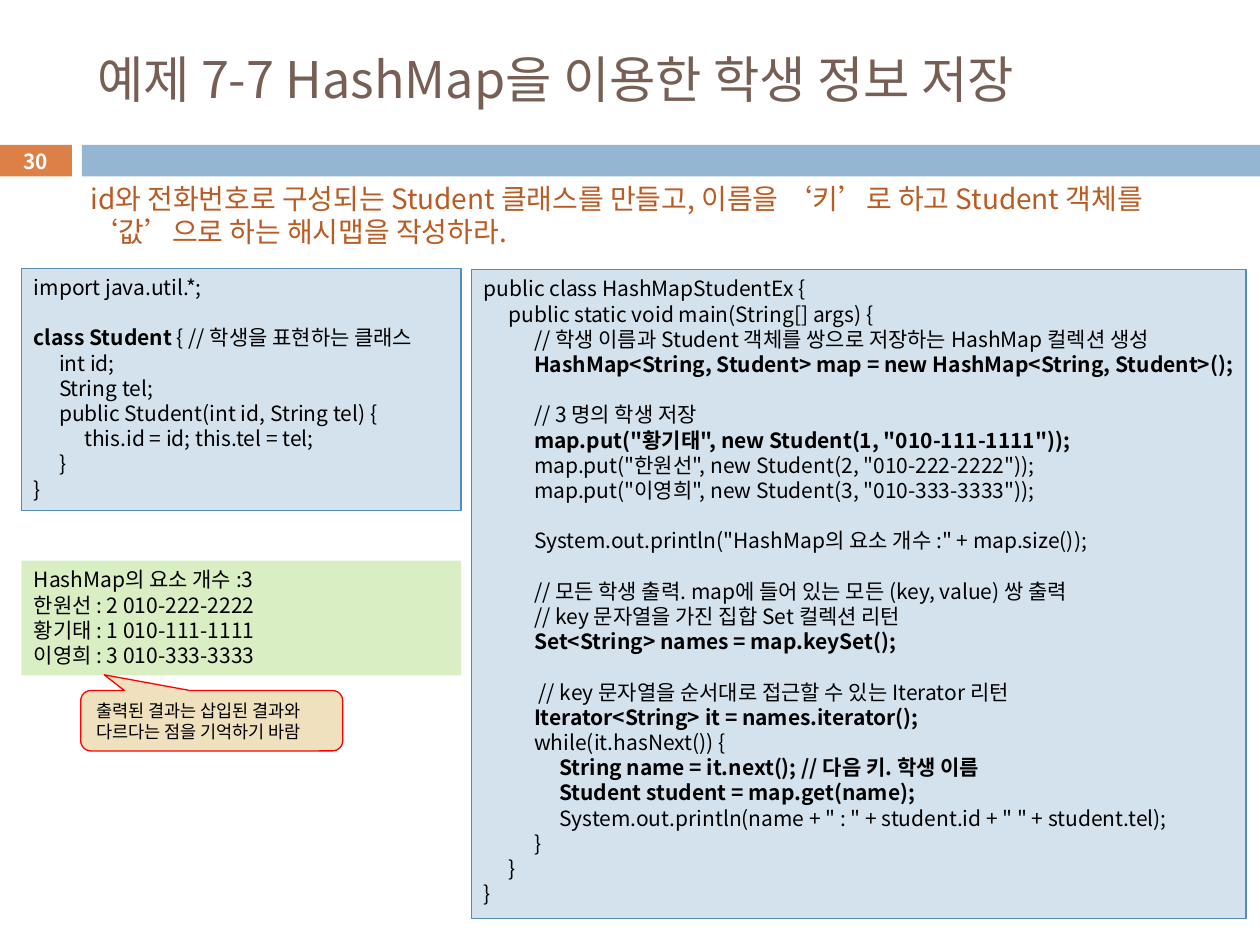
from pptx import Presentation
from pptx.dml.color import RGBColor
from pptx.enum.shapes import MSO_SHAPE as Shape
from pptx.enum.text import MSO_ANCHOR as Anchor, PP_ALIGN as Align
from pptx.oxml.ns import qn
from pptx.util import Inches, Pt
from lxml.etree import SubElement

# Content: "**" switches bold, a leading tab is one indent step, "" is a gap
TITLE = ["예제 7-7 HashMap을 이용한 학생 정보 저장"]
PAGE_NUMBER = ["**30"]
TASK = ["id와 전화번호로 구성되는 Student 클래스를 만들고, 이름을 ‘키’로 하고 "
        "Student 객체를 ‘값’으로 하는 해시맵을 작성하라."]
STUDENT_CODE = [
    "import java.util.*;",
    "",
    "**class Student **{ // 학생을 표현하는 클래스",
    "\tint id;",
    "\tString tel;",
    "\tpublic Student(int id, String tel) {",
    "\t\tthis.id = id; this.tel = tel;",
    "\t}",
    "}",
]
MAIN_CODE = [
    "public class HashMapStudentEx {",
    "\tpublic static void main(String[] args) {",
    "\t\t// 학생 이름과 Student 객체를 쌍으로 저장하는 HashMap 컬렉션 생성",
    "\t\t**HashMap<String, Student> map = new HashMap<String, Student>();",
    "",
    "\t\t// 3 명의 학생 저장",
    '\t\t**map.put("황기태", new Student(1, "010-111-1111"));',
    '\t\tmap.put("한원선", new Student(2, "010-222-2222"));',
    '\t\tmap.put("이영희", new Student(3, "010-333-3333"));',
    "",
    '\t\tSystem.out.println("HashMap의 요소 개수 :" + map.size());',
    "",
    "\t\t// 모든 학생 출력. map에 들어 있는 모든 (key, value) 쌍 출력",
    "\t\t// key 문자열을 가진 집합 Set 컬렉션 리턴",
    "\t\t**Set<String> names = map.keySet();",
    "",
    "\t\t // key 문자열을 순서대로 접근할 수 있는 Iterator 리턴",
    "\t\t**Iterator<String> it = names.iterator();",
    "\t\twhile(it.hasNext()) {",
    "\t\t\t**String name = it.next(); // 다음 키. 학생 이름",
    "\t\t\t**Student student = map.get(name);",
    '\t\t\tSystem.out.println(name + " : " + student.id + " " + student.tel);',
    "\t\t}",
    "\t}",
    "}",
]
OUTPUT = [
    "HashMap의 요소 개수 :3",
    "한원선 : 2 010-222-2222",
    "황기태 : 1 010-111-1111",
    "이영희 : 3 010-333-3333",
]
REMARK = ["출력된 결과는 삽입된 결과와 다르다는 점을 기억하기 바람"]


class Theme:
    font = "Noto Sans CJK KR"
    title, task, text, white = "775F55", "B95B22", "000000", "FFFFFF"
    accent, band = "DD8047", "94B6D2"
    code_fill, code_line = "D4E2ED", "558BB8"
    output_fill, remark_fill, remark_line = "DAEEC4", "EFE0BE", "FF0000"
    title_size, task_size, code_size, remark_size, page_size = 28.8, 16, 12, 10, 11.9
    line_pitch = 1.2    # line height as a multiple of the type size
    indent = 0.2        # inches per code level


def place(part, left, top, width, height):
    part.left, part.top = Inches(left), Inches(top)
    part.width, part.height = Inches(width), Inches(height)


def write(part, lines, size=Theme.code_size, color=Theme.text,
          align=Align.LEFT, anchor=Anchor.TOP, right_inset=0.1):
    frame = part.text_frame
    frame.word_wrap = True
    frame.vertical_anchor = anchor
    frame.margin_left, frame.margin_right = Inches(0.1), Inches(right_inset)
    frame.margin_top = frame.margin_bottom = Inches(0.05)
    pitch = size * Theme.line_pitch
    paragraph, gap = None, 0
    for line in lines:
        if not line:
            gap += pitch
            continue
        paragraph = frame.paragraphs[0] if paragraph is None else frame.add_paragraph()
        paragraph.alignment = align
        paragraph.line_spacing = Pt(pitch)
        paragraph.space_before, gap = Pt(gap), 0
        code = line.lstrip("\t")
        level = len(line) - len(code)
        props = paragraph._p.get_or_add_pPr()
        props.set("marL", str(Inches(Theme.indent * level)))
        props.set("indent", "0")
        for index, piece in enumerate(code.split("**")):
            if not piece:
                continue
            run = paragraph.add_run()
            run.text = piece
            run.font.size, run.font.name = Pt(size), Theme.font
            run.font.bold = index % 2 == 1
            run.font.color.rgb = RGBColor.from_string(color)
            SubElement(run._r.rPr, qn("a:ea"), typeface=Theme.font)


def add_box(slide, box, fill, line=None, kind=Shape.RECTANGLE):
    part = slide.shapes.add_shape(kind, *map(Inches, box))
    part.shadow.inherit = False
    part.fill.solid()
    part.fill.fore_color.rgb = RGBColor.from_string(fill)
    if line:
        part.line.color.rgb = RGBColor.from_string(line)
        part.line.width = Pt(0.75)
    else:
        part.line.fill.background()
    return part


def main():
    deck = Presentation()
    deck.slide_width, deck.slide_height = Inches(10), Inches(7.5)
    slide = deck.slides.add_slide(deck.slide_layouts[5])

    # Title, and the band with the page number
    heading = slide.shapes.title
    place(heading, 0.67, 0.25, 8.92, 0.74)
    write(heading, TITLE, size=Theme.title_size, color=Theme.title, anchor=Anchor.MIDDLE)
    page = add_box(slide, (-0.01, 1.15, 0.58, 0.25), Theme.accent)
    write(page, PAGE_NUMBER, size=Theme.page_size, color=Theme.white,
          align=Align.CENTER, anchor=Anchor.MIDDLE)
    add_box(slide, (0.65, 1.15, 9.35, 0.25), Theme.band)

    # Task
    task = slide.shapes.add_textbox(*map(Inches, (0.62, 1.39, 8.71, 0.64)))
    write(task, TASK, size=Theme.task_size, color=Theme.task)

    # Code panels and program output
    for lines, box, fill, border in (
        (STUDENT_CODE, (0.17, 2.13, 3.49, 1.92), Theme.code_fill, Theme.code_line),
        (OUTPUT, (0.17, 4.45, 3.49, 0.91), Theme.output_fill, None),
        (MAIN_CODE, (3.74, 2.14, 6.15, 5.15), Theme.code_fill, Theme.code_line),
    ):
        write(add_box(slide, box, fill, border), lines, right_inset=0)

    # Remark on the output order
    remark = add_box(slide, (0.64, 5.48, 2.08, 0.48), Theme.remark_fill,
                     Theme.remark_line, Shape.ROUNDED_RECTANGULAR_CALLOUT)
    for index, value in enumerate((-0.41, -0.76, 0.17)):
        remark.adjustments[index] = value
    write(remark, REMARK, size=Theme.remark_size)

    deck.save("out.pptx")


if __name__ == "__main__":
    main()
